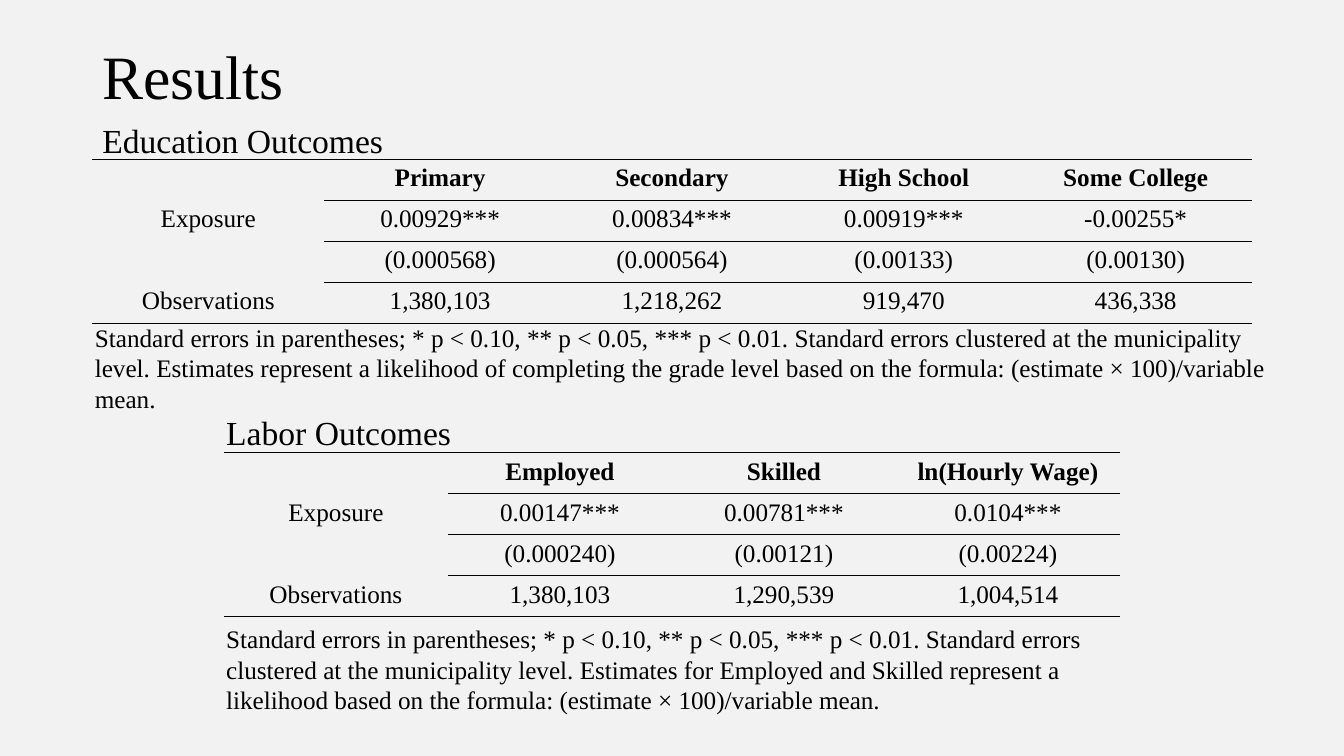
"""Build the Results slide with the education and labor outcome tables."""
from lxml.etree import SubElement
from pptx import Presentation
from pptx.dml.color import RGBColor
from pptx.enum.text import MSO_ANCHOR as Anchor, PP_ALIGN as Align
from pptx.oxml.ns import qn
from pptx.util import Pt

PLAIN = "{2D5ABB26-0587-4C30-8999-92F81FD0307C}"
ROW = 29.3
NOTE = ("Standard errors in parentheses; * p < 0.10, ** p < 0.05, *** p < 0.01. "
        "Standard errors clustered at the municipality level. Estimates ")
RULE = "based on the formula: (estimate × 100)/variable mean."


def color(code):
    return RGBColor.from_string(code)


def write(frame, text, size, bold=False):
    run = frame.paragraphs[0].add_run()
    run.text = text
    font = run.font
    font.name, font.size, font.bold = "Times New Roman", Pt(size), bold
    font.color.rgb = color("000000")


deck = Presentation()
deck.slide_width, deck.slide_height = Pt(960), Pt(540)
slide = deck.slides.add_slide(deck.slide_layouts[5])
slide.background.fill.solid()
slide.background.fill.fore_color.rgb = color("F2F2F2")

title = slide.shapes.title
title.left, title.top, title.width, title.height = Pt(66), Pt(29), Pt(828), Pt(55)
frame = title.text_frame
frame.vertical_anchor = Anchor.MIDDLE
frame.paragraphs[0].alignment = Align.LEFT
frame.paragraphs[0].line_spacing = 0.9
write(frame, "Results", 44)

grids = [
    (66, 113.8, 165.6, [
        ["", "Primary", "Secondary", "High School", "Some College"],
        ["Exposure", "0.00929***", "0.00834***", "0.00919***", "-0.00255*"],
        ["", "(0.000568)", "(0.000564)", "(0.00133)", "(0.00130)"],
        ["Observations", "1,380,103", "1,218,262", "919,470", "436,338"]]),
    (160, 323.2, 160, [
        ["", "Employed", "Skilled", "ln(Hourly Wage)"],
        ["Exposure", "0.00147***", "0.00781***", "0.0104***"],
        ["", "(0.000240)", "(0.00121)", "(0.00224)"],
        ["Observations", "1,380,103", "1,290,539", "1,004,514"]]),
]
for left, top, wide, rows in grids:
    count = len(rows[0])
    table = slide.shapes.add_table(len(rows), count, Pt(left), Pt(top),
                                   Pt(wide * count), Pt(ROW * len(rows))).table
    table.first_row = table.horz_banding = False
    table._tbl.tblPr.find(qn("a:tableStyleId")).text = PLAIN
    for col in table.columns:
        col.width = Pt(wide)
    for r, row in enumerate(rows):
        table.rows[r].height = Pt(ROW)
        for c, text in enumerate(row):
            cell = table.cell(r, c)
            if text:
                cell.text_frame.paragraphs[0].alignment = Align.CENTER
                write(cell.text_frame, text, 18, r == 0)
            if r in (0, 3) or c > 0:
                side = "a:lnT" if r < 2 else "a:lnB"
                line = SubElement(cell._tc.get_or_add_tcPr(), qn(side), w=str(Pt(1)))
                fill = SubElement(line, qn("a:solidFill"))
                SubElement(fill, qn("a:srgbClr"), val="000000")
            cell.fill.background()

texts = [
    (60.7, 226.8, 853, 51, 18, True,
     NOTE + "represent a likelihood of completing the grade level " + RULE),
    (154.5, 442, 676, 73, 18, True,
     NOTE + "for Employed and Skilled represent a likelihood " + RULE),
    (66, 82.2, 217, 36, 24, False, "Education Outcomes"),
    (154.5, 291, 176, 36, 24, False, "Labor Outcomes"),
]
for left, top, wide, high, size, wrap, text in texts:
    box = slide.shapes.add_textbox(Pt(left), Pt(top), Pt(wide), Pt(high))
    box.text_frame.word_wrap = wrap
    write(box.text_frame, text, size)

deck.save("out.pptx")
